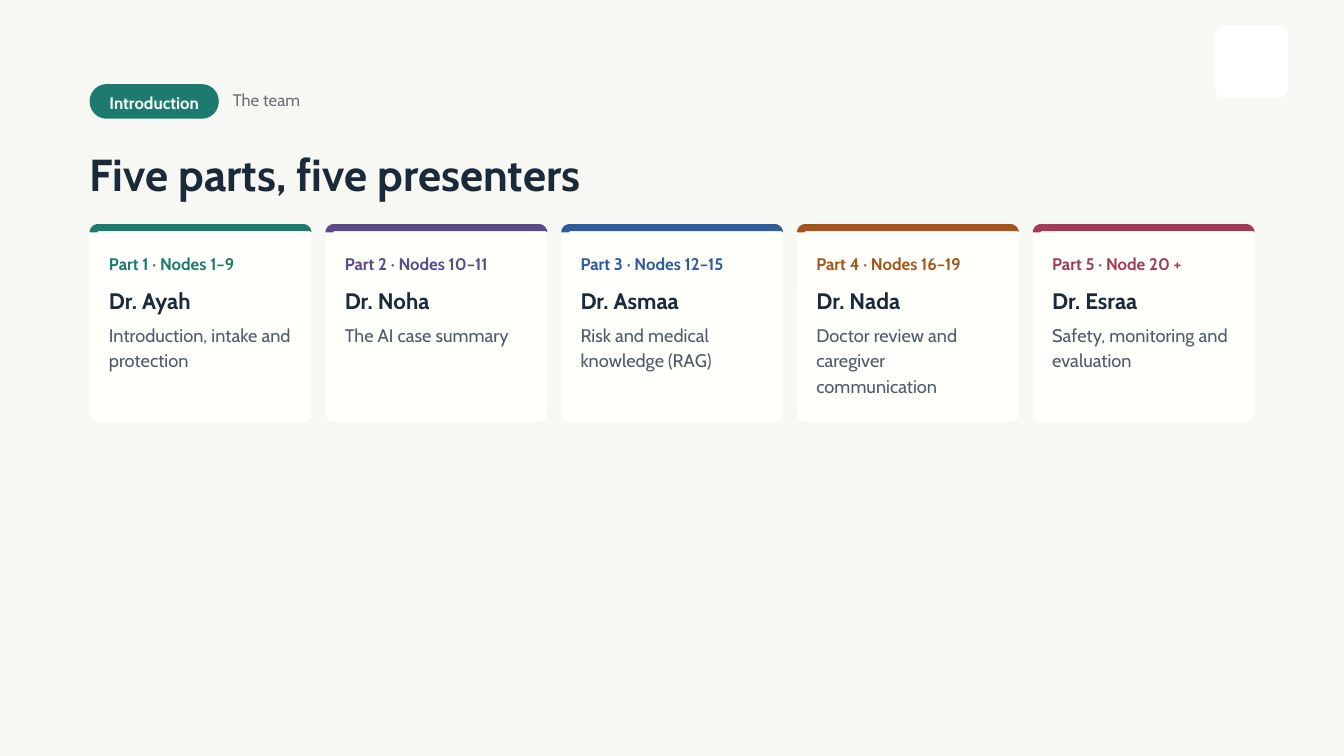
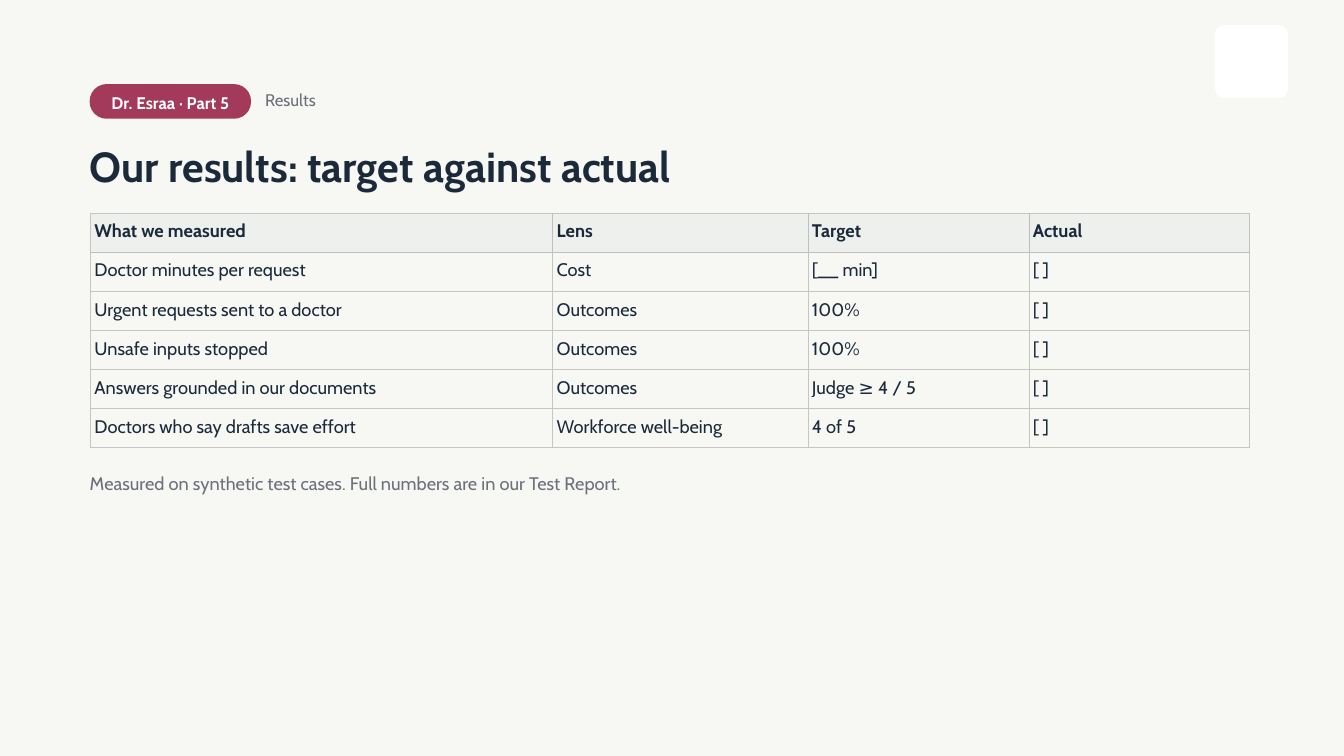
import math

from lxml import etree
from pptx import Presentation
from pptx import util as u
from pptx.dml import color
from pptx.enum import shapes, text
from pptx.oxml import ns

COLORS = {
    "background": "F7F7F4", "white": "FFFFFF", "card": "FFFFFC",
    "ink": "1B2A3A", "body": "4E5A66", "muted": "6A7179",
    "teal": "1D7A6E", "purple": "5B4B8A", "blue": "2F5D9B",
    "orange": "A5551A", "rose": "A33A5B",
    "header": "EDF0EC", "header_line": "BDC0BC", "line": "C5C5C3",
}
FONT = "Cabin"
LEFT, CONTENT_WIDTH = 3.39, 44.03
RADIUS, STRIPE = 0.32, 0.27
CARD_TOP, CARD_HEIGHT, CARD_GAP, CARD_PAD = 8.47, 7.49, 0.53, 0.73
INSET = 0.15

PRESENTERS = [
    ("teal", "Part 1 · Nodes 1–9", "Dr. Ayah", "Introduction, intake and protection", 2),
    ("purple", "Part 2 · Nodes 10–11", "Dr. Noha", "The AI case summary", 1),
    ("blue", "Part 3 · Nodes 12–15", "Dr. Asmaa", "Risk and medical knowledge (RAG)", 2),
    ("orange", "Part 4 · Nodes 16–19", "Dr. Nada", "Doctor review and caregiver communication", 3),
    ("rose", "Part 5 · Node 20 +", "Dr. Esraa", "Safety, monitoring and evaluation", 2),
]
RESULTS = [
    ("What we measured", "Lens", "Target", "Actual"),
    ("Doctor minutes per request", "Cost", "[__ min]", "[ ]"),
    ("Urgent requests sent to a doctor", "Outcomes", "100%", "[ ]"),
    ("Unsafe inputs stopped", "Outcomes", "100%", "[ ]"),
    ("Answers grounded in our documents", "Outcomes", "Judge ≥ 4 / 5", "[ ]"),
    ("Doctors who say drafts save effort", "Workforce well-being", "4 of 5", "[ ]"),
]


def rgb(name):
    return color.RGBColor.from_string(COLORS[name])


def write(frame, content, size=19.5, ink="ink", bold=False, leading=27.3,
          align=text.PP_ALIGN.LEFT):
    paragraph = frame.paragraphs[0]
    paragraph.alignment = align
    paragraph.line_spacing = u.Pt(leading)
    run = paragraph.add_run()
    run.text = content
    run.font.name = FONT
    run.font.size = u.Pt(size)
    run.font.bold = bold
    run.font.color.rgb = rgb(ink)


class Deck:
    def __init__(self):
        self.presentation = Presentation()
        self.presentation.slide_width = u.Cm(50.8)
        self.presentation.slide_height = u.Cm(28.58)
        self.slide = None

    def new_slide(self, part, part_color, part_width, topic, topic_width):
        self.slide = self.presentation.slides.add_slide(self.presentation.slide_layouts[6])
        self.slide.background.fill.solid()
        self.slide.background.fill.fore_color.rgb = rgb("background")
        self.rounded(45.93, 0.95, 2.75, 2.75, "white")
        badge = self.rounded(LEFT, 3.18, part_width, 1.31, part_color, radius=0.64)
        frame = badge.text_frame
        frame.margin_left = frame.margin_right = u.Cm(INSET)
        frame.margin_top = frame.margin_bottom = u.Cm(INSET)
        frame.vertical_anchor = text.MSO_ANCHOR.MIDDLE
        write(frame, part, size=18, ink="white", bold=True, leading=25.2,
              align=text.PP_ALIGN.CENTER)
        self.label(topic, LEFT + part_width + CARD_GAP, 3.28, topic_width, 1.09,
                   size=18, ink="muted", leading=25.2)

    def paint(self, shape, fill):
        shape.shadow.inherit = False
        shape.fill.solid()
        shape.fill.fore_color.rgb = rgb(fill)
        shape.line.fill.background()
        return shape

    def rounded(self, left, top, width, height, fill, radius=RADIUS):
        shape = self.slide.shapes.add_shape(
            shapes.MSO_SHAPE.ROUNDED_RECTANGLE,
            u.Cm(left), u.Cm(top), u.Cm(width), u.Cm(height))
        shape.adjustments[0] = radius / min(width, height)
        return self.paint(shape, fill)

    def stripe(self, left, top, width, fill):
        def corner(center, start):
            angles = [math.radians(start + step * 9) for step in range(11)]
            return [(center + RADIUS * math.cos(a), top + RADIUS + RADIUS * math.sin(a))
                    for a in angles]

        right = left + width
        outline = corner(left + RADIUS, 180) + corner(right - RADIUS, 270)
        outline += [(right - 0.05, top + STRIPE), (left + RADIUS, top + STRIPE),
                    (left + STRIPE, top + RADIUS)]
        points = [(u.Cm(x), u.Cm(y)) for x, y in outline]
        builder = self.slide.shapes.build_freeform(*points[0])
        builder.add_line_segments(points[1:], close=True)
        self.paint(builder.convert_to_shape(), fill)

    def label(self, content, left, top, width, height, **style):
        box = self.slide.shapes.add_textbox(u.Cm(left), u.Cm(top), u.Cm(width), u.Cm(height))
        frame = box.text_frame
        frame.word_wrap = True
        frame.auto_size = text.MSO_AUTO_SIZE.SHAPE_TO_FIT_TEXT
        frame.margin_left = frame.margin_right = 0
        frame.margin_top = frame.margin_bottom = 0
        write(frame, content, **style)

    def title(self, content, top, size, leading):
        self.label(content, LEFT, top, 40.34, 1.83, size=size, bold=True, leading=leading)

    def card(self, left, width, accent, part, presenter, topic, lines):
        self.rounded(left, CARD_TOP, width, CARD_HEIGHT, "card")
        self.stripe(left, CARD_TOP, width, accent)
        inner_left, inner_width = left + CARD_PAD, 7.11
        self.label(part, inner_left, 9.47, inner_width, 1.09,
                   size=18, ink=accent, bold=True, leading=25.2)
        self.label(presenter, inner_left, 10.85, inner_width, 1.12,
                   size=24, bold=True, leading=28.8)
        self.label(topic, inner_left, 12.12, inner_width, 0.2 + 0.97 * lines, ink="body")

    def borders(self, cell, edges):
        properties = cell._tc.get_or_add_tcPr()
        for side, name in edges.items():
            line = etree.SubElement(properties, ns.qn(f"a:ln{side}"), w=str(u.Pt(1)))
            fill = etree.SubElement(line, ns.qn("a:solidFill"))
            etree.SubElement(fill, ns.qn("a:srgbClr"), val=COLORS[name])

    def table(self, rows, left, top, widths, row_height):
        table = self.slide.shapes.add_table(
            len(rows), len(widths), u.Cm(left), u.Cm(top),
            u.Cm(sum(widths)), u.Cm(row_height * len(rows))).table
        table.first_row = table.horz_banding = False
        for column, width in zip(table.columns, widths):
            column.width = u.Cm(width)
        for r, row in enumerate(rows):
            table.rows[r].height = u.Cm(row_height)
            is_header = r == 0
            inner = "header_line" if is_header else "line"
            for c, content in enumerate(row):
                cell = table.cell(r, c)
                cell.margin_left = cell.margin_right = u.Cm(INSET)
                cell.margin_top = cell.margin_bottom = u.Cm(INSET)
                self.borders(cell, {
                    "L": inner if c else "line",
                    "R": inner,
                    "T": "header_line" if r == 1 else "line",
                    "B": inner,
                })
                if is_header:
                    cell.fill.solid()
                    cell.fill.fore_color.rgb = rgb("header")
                else:
                    cell.fill.background()
                write(cell.text_frame, content, bold=is_header)


def team_slide(deck):
    deck.new_slide("Introduction", "teal", 4.88, "The team", 3.23)
    deck.title("Five parts, five presenters", 5.72, size=48, leading=52.8)
    count = len(PRESENTERS)
    width = (CONTENT_WIDTH - CARD_GAP * (count - 1)) / count
    for i, presenter in enumerate(PRESENTERS):
        deck.card(LEFT + i * (width + CARD_GAP), width, *presenter)


def results_slide(deck):
    deck.new_slide("Dr. Esraa · Part 5", "rose", 6.1, "Results", 2.54)
    deck.title("Our results: target against actual", 5.41, size=45, leading=51.7)
    deck.table(RESULTS, 3.42, 8.05, [17.47, 9.65, 8.35, 8.35], 1.48)
    deck.label("Measured on synthetic test cases. Full numbers are in our Test Report.",
               LEFT, 17.73, 45.34, 1.17, ink="muted")


def main():
    deck = Deck()
    team_slide(deck)
    results_slide(deck)
    deck.presentation.save("out.pptx")


if __name__ == "__main__":
    main()
